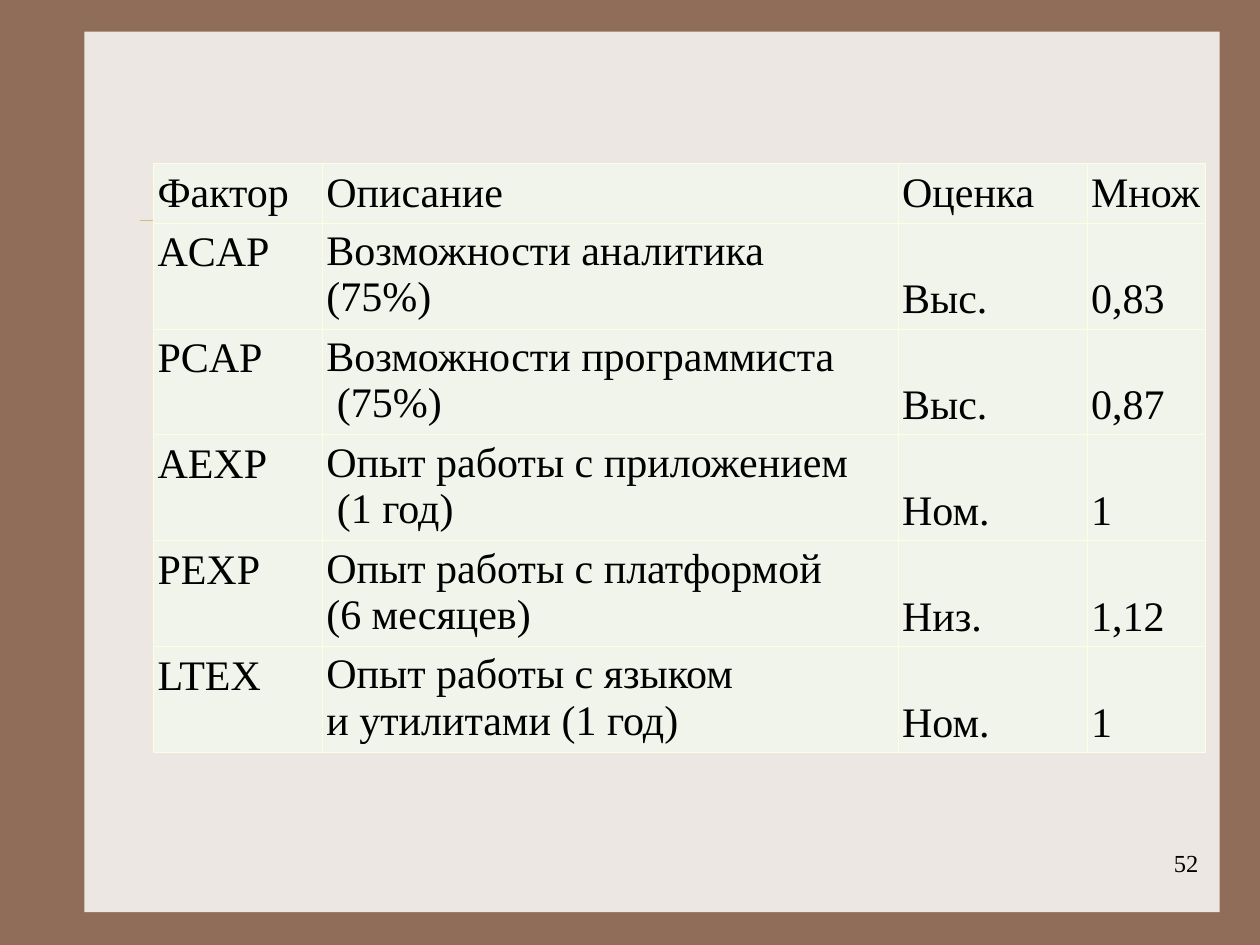
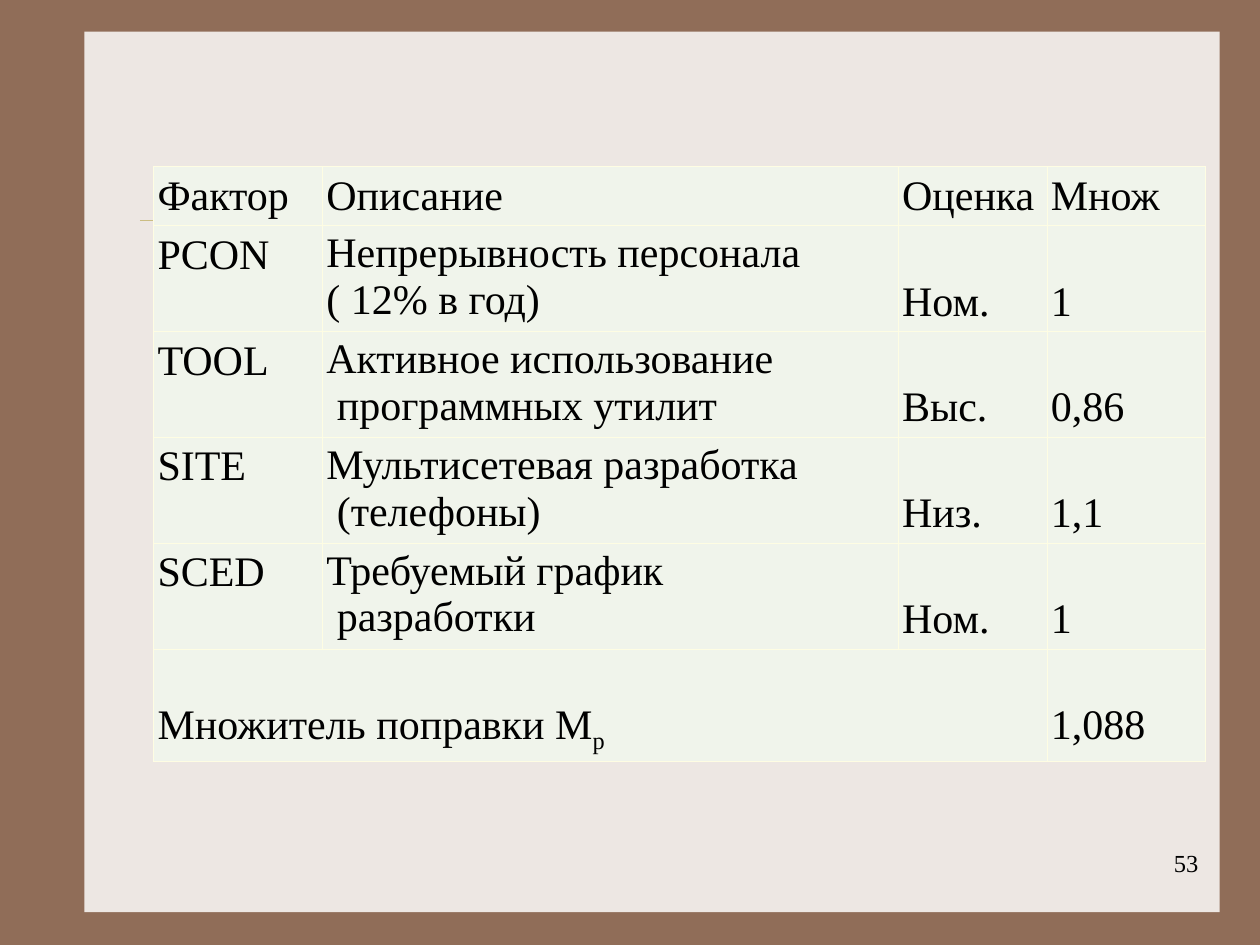
from dataclasses import dataclass

from lxml.etree import SubElement
from pptx import Presentation
from pptx.dml.color import RGBColor
from pptx.enum.shapes import MSO_CONNECTOR, MSO_SHAPE
from pptx.enum.text import MSO_ANCHOR as Anchor, PP_ALIGN as Align
from pptx.oxml.ns import qn
from pptx.util import Inches, Pt

FONT = "Times New Roman"
BROWN = "906D58"
PANEL = "EDE7E3"
RULE = "CBBD83"
CELL = "F0F4EB"
BORDER = "FEFDE3"
BLACK = "000000"

TABLE_LEFT = 1.22
HEADER_HEIGHT = 0.47
ROW_HEIGHT = 0.84
TOTAL_HEIGHT = 0.89
HEADINGS = ("Фактор", "Описание", "Оценка", "Множ")


@dataclass(frozen=True)
class Factor:
    code: str
    description: tuple[str, str]
    rating: str
    multiplier: str


@dataclass(frozen=True)
class FactorPage:
    number: int
    top: float
    widths: tuple[float, ...]
    factors: tuple[Factor, ...]
    total: str = ""


PAGES = (
    FactorPage(52, 1.3, (1.34, 4.57, 1.5, 0.94), (
        Factor("ACAP", ("Возможности аналитика", "(75%)"), "Выс.", "0,83"),
        Factor("PCAP", ("Возможности программиста", " (75%)"), "Выс.", "0,87"),
        Factor("AEXP", ("Опыт работы с приложением", " (1 год)"), "Ном.", "1"),
        Factor("PEXP", ("Опыт работы с платформой", "(6 месяцев)"), "Низ.", "1,12"),
        Factor("LTEX", ("Опыт работы с языком", "и утилитами (1 год)"), "Ном.", "1"),
    )),
    FactorPage(53, 1.32, (1.34, 4.57, 1.18, 1.26), (
        Factor("PCON", ("Непрерывность персонала", "( 12% в год)"), "Ном.", "1"),
        Factor("TOOL", ("Активное использование", " программных утилит"), "Выс.", "0,86"),
        Factor("SITE", ("Мультисетевая разработка", " (телефоны)"), "Низ.", "1,1"),
        Factor("SCED", ("Требуемый график", " разработки"), "Ном.", "1"),
    ), "1,088"),
)


def color(value: str) -> RGBColor:
    return RGBColor.from_string(value)


def add_span(para, text: str, size: float):
    span = para.add_run()
    span.text = text
    span.font.name = FONT
    span.font.size = Pt(size)
    span.font.color.rgb = color(BLACK)
    return span


def add_backdrop(master, page) -> None:
    master.background.fill.solid()
    master.background.fill.fore_color.rgb = color(BROWN)

    panel = page.shapes.add_shape(
        MSO_SHAPE.RECTANGLE, Inches(0.67), Inches(0.25), Inches(9.01), Inches(6.99))
    panel.shadow.inherit = False
    panel.fill.solid()
    panel.fill.fore_color.rgb = color(PANEL)
    panel.line.fill.background()

    rule = page.shapes.add_connector(
        MSO_CONNECTOR.STRAIGHT, Inches(1.11), Inches(1.75), Inches(9.5), Inches(1.75))
    rule.line.color.rgb = color(RULE)
    rule.line.width = Pt(0.25)
    SubElement(rule._element.spPr, qn("a:effectLst"))

    for position, shape in enumerate((panel, rule)):
        shape._element.xpath(".//p:cNvPr")[0].set("id", str(101 + position))
        master.shapes._spTree.insert(2 + position, shape._element)


def add_page_number(page, number: int) -> None:
    box = page.shapes.add_textbox(Inches(7.53), Inches(6.68), Inches(2.08), Inches(0.5))
    box.text_frame.word_wrap = True
    para = box.text_frame.paragraphs[0]
    para.alignment = Align.RIGHT
    add_span(para, str(number), 14)


def style_cell(cell) -> None:
    cell.margin_left = cell.margin_right = Inches(0.03)
    properties = cell._tc.get_or_add_tcPr()
    for side in ("lnL", "lnR", "lnT", "lnB"):
        line = SubElement(properties, qn(f"a:{side}"), w=str(Pt(0.45)))
        SubElement(SubElement(line, qn("a:solidFill")), qn("a:srgbClr"), val=BORDER)
    cell.fill.solid()
    cell.fill.fore_color.rgb = color(CELL)


def fill_cell(cell, lines: tuple[str, ...], anchor=Anchor.TOP,
              above: float = 0.05, below: float = 0.05):
    cell.vertical_anchor = anchor
    cell.margin_top, cell.margin_bottom = Inches(above), Inches(below)
    frame = cell.text_frame
    for index, line in enumerate(lines):
        para = frame.add_paragraph() if index else frame.paragraphs[0]
        para.alignment = Align.JUSTIFY
        add_span(para, line, 24)
    return para


def add_total(table, total: str) -> None:
    row = len(table.rows) - 1
    label, value = table.cell(row, 0), table.cell(row, 3)
    label.merge(table.cell(row, 2))
    para = fill_cell(label, ("Множитель поправки М",), Anchor.BOTTOM)
    add_span(para, "р", 24).font._element.set("baseline", "-25000")
    fill_cell(value, (total,), Anchor.BOTTOM, below=0.1)


def add_factor_table(page, content: FactorPage) -> None:
    heights = [HEADER_HEIGHT] + [ROW_HEIGHT] * len(content.factors)
    if content.total:
        heights.append(TOTAL_HEIGHT)
    table = page.shapes.add_table(
        len(heights), len(HEADINGS), Inches(TABLE_LEFT), Inches(content.top),
        Inches(sum(content.widths)), Inches(sum(heights))).table
    table.first_row = table.horz_banding = False
    for column, width in zip(table.columns, content.widths):
        column.width = Inches(width)
    for row, height in zip(table.rows, heights):
        row.height = Inches(height)
    for cell in table.iter_cells():
        style_cell(cell)

    for column, heading in enumerate(HEADINGS):
        fill_cell(table.cell(0, column), (heading,), below=0.02)
    for row, factor in enumerate(content.factors, 1):
        fill_cell(table.cell(row, 0), (factor.code,))
        fill_cell(table.cell(row, 1), factor.description, above=0.04, below=0)
        fill_cell(table.cell(row, 2), (factor.rating,), Anchor.BOTTOM)
        fill_cell(table.cell(row, 3), (factor.multiplier,), Anchor.BOTTOM)
    if content.total:
        add_total(table, content.total)


def main() -> None:
    deck = Presentation()
    deck.slide_width, deck.slide_height = Inches(10), Inches(7.5)
    blank = deck.slide_layouts[6]
    for index, content in enumerate(PAGES):
        page = deck.slides.add_slide(blank)
        if index == 0:
            add_backdrop(deck.slide_master, page)
        add_page_number(page, content.number)
        add_factor_table(page, content)
    deck.save("out.pptx")


if __name__ == "__main__":
    main()
